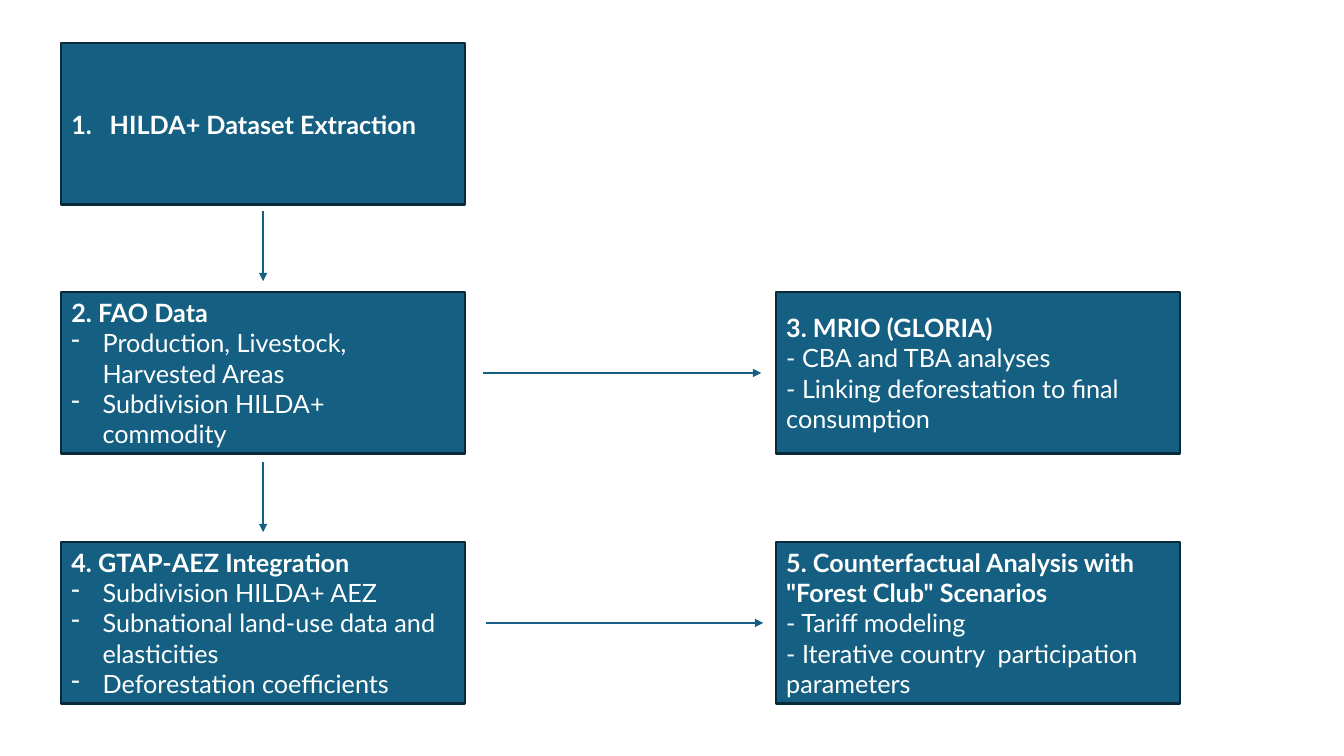
from lxml.etree import SubElement
from pptx import Presentation
from pptx.dml.color import RGBColor
from pptx.enum.shapes import MSO_CONNECTOR as Connector, MSO_SHAPE as Shape
from pptx.enum.text import MSO_ANCHOR as Anchor, PP_ALIGN as Align
from pptx.oxml.ns import qn
from pptx.util import Inches, Pt

COLORS = {"fill": "156082", "border": "092A39", "text": "FFFFFF"}
FONT = {"name": "Lato", "size": Pt(18)}
LEFT, RIGHT = 0.61, 7.7
TOPS = [0.43, 2.9, 5.38]
WIDTH, HEIGHT = 4, 1.6
NUMBERED = ("buAutoNum", {"type": "arabicPeriod"}, 0.38)
DASHED = ("buChar", {"char": "-"}, 0.31)

STEPS = [
    (LEFT, TOPS[0], NUMBERED, None, ["HILDA+ Dataset Extraction"]),
    (LEFT, TOPS[1], None, DASHED, [
        "2. FAO Data",
        "Production, Livestock, Harvested Areas",
        "Subdivision HILDA+ commodity",
    ]),
    (RIGHT, TOPS[1], None, None, [
        "3. MRIO (GLORIA)",
        "- CBA and TBA analyses",
        "- Linking deforestation to final consumption",
    ]),
    (LEFT, TOPS[2], None, DASHED, [
        "4. GTAP-AEZ Integration",
        "Subdivision HILDA+ AEZ",
        "Subnational land-use data and elasticities",
        "Deforestation coefficients",
    ]),
    (RIGHT, TOPS[2], None, None, [
        '5. Counterfactual Analysis with "Forest Club" Scenarios',
        "- Tariff modeling",
        "- Iterative country  participation parameters",
    ]),
]
ARROWS = [
    (2.61, 2.09, 2.61, 2.79),
    (4.79, 3.7, 7.55, 3.7),
    (4.82, 6.18, 7.57, 6.18),
    (2.61, 4.58, 2.61, 5.28),
]


def set_line(line, color):
    line.color.rgb = RGBColor.from_string(COLORS[color])
    line.width = Pt(1.5)


def add_bullet(para, bullet):
    tag, attributes, indent = bullet
    properties = para._p.get_or_add_pPr()
    properties.set("marL", str(Inches(indent)))
    properties.set("indent", str(-Inches(indent)))
    SubElement(properties, qn(f"a:{tag}"), attributes)


deck = Presentation()
deck.slide_width, deck.slide_height = Inches(13.33), Inches(7.5)
page = deck.slides.add_slide(deck.slide_layouts[6])

for left, top, heading_bullet, item_bullet, lines in STEPS:
    box = page.shapes.add_shape(
        Shape.RECTANGLE, Inches(left), Inches(top), Inches(WIDTH), Inches(HEIGHT)
    )
    box.shadow.inherit = False
    box.fill.solid()
    box.fill.fore_color.rgb = RGBColor.from_string(COLORS["fill"])
    set_line(box.line, "border")
    frame = box.text_frame
    frame.word_wrap = True
    frame.vertical_anchor = Anchor.MIDDLE
    for number, text in enumerate(lines):
        para = frame.add_paragraph() if number else frame.paragraphs[0]
        para.alignment = Align.LEFT
        bullet = item_bullet if number else heading_bullet
        if bullet:
            add_bullet(para, bullet)
        span = para.add_run()
        span.text = text
        for key, value in FONT.items():
            setattr(span.font, key, value)
        span.font.bold = number == 0
        span.font.color.rgb = RGBColor.from_string(COLORS["text"])

for ends in ARROWS:
    arrow = page.shapes.add_connector(Connector.STRAIGHT, *map(Inches, ends))
    set_line(arrow.line, "fill")
    SubElement(arrow.line._get_or_add_ln(), qn("a:tailEnd"), type="triangle")
    SubElement(arrow._element.spPr, qn("a:effectLst"))

deck.save("out.pptx")
